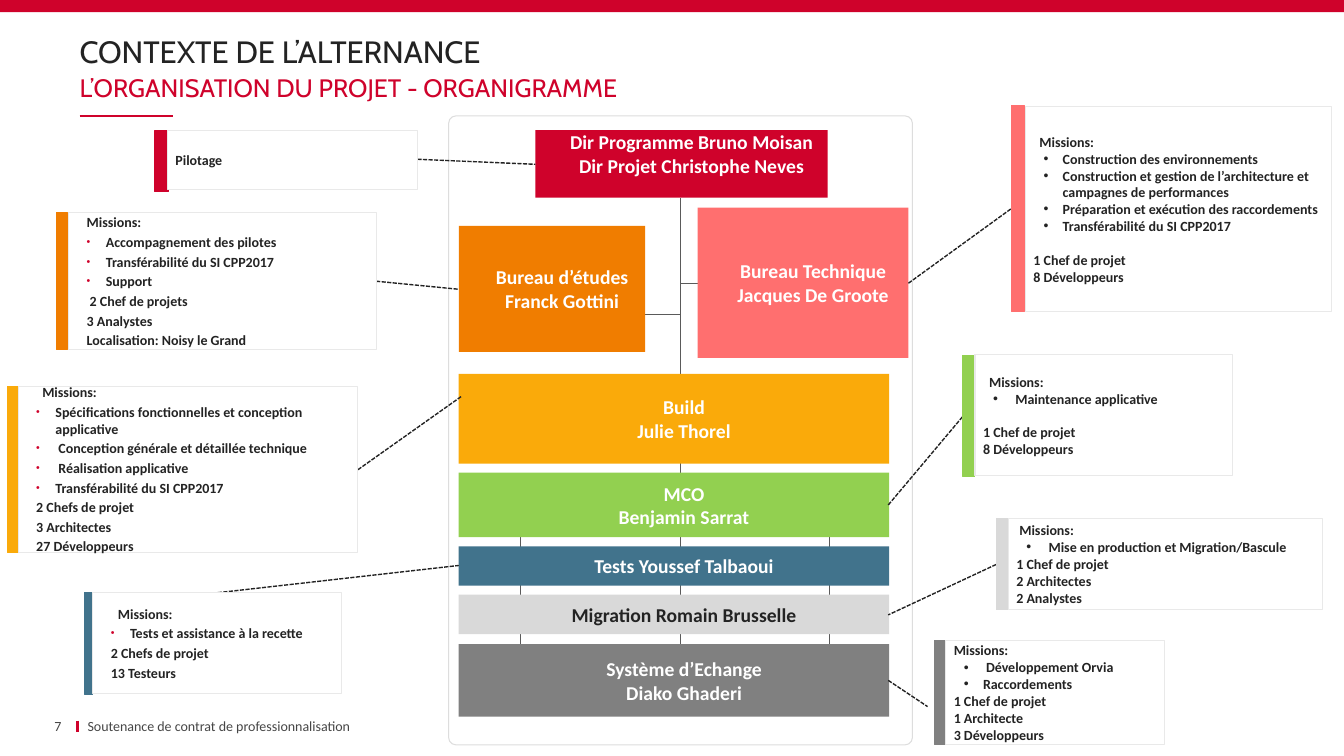
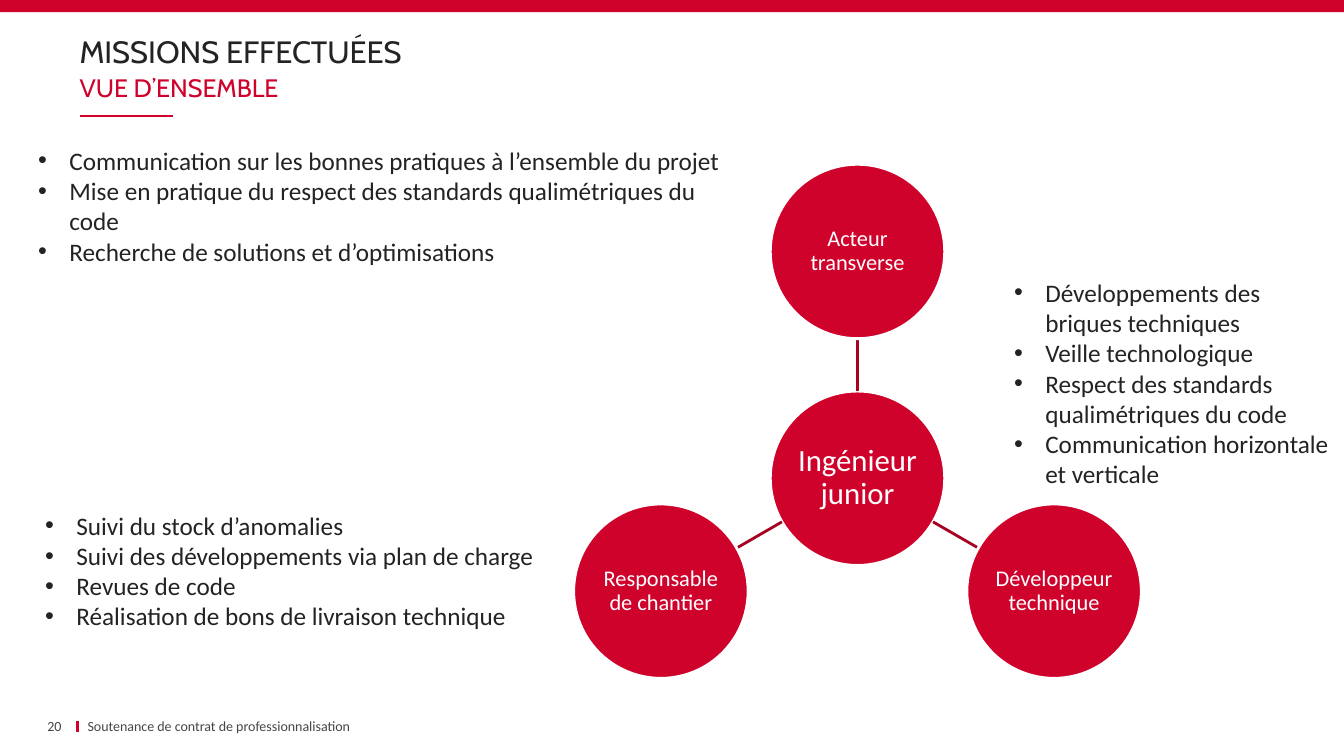
import math

from lxml import etree
from pptx import Presentation
from pptx.dml.color import RGBColor
from pptx.enum import dml, shapes, text
from pptx.oxml.ns import qn
from pptx.util import Emu, Pt

PX = 9144  # 100 px to the inch
RED = RGBColor(0xCF, 0x02, 0x2B)
DARK_RED = RGBColor(0xA6, 0x02, 0x22)
CORAL = RGBColor(0xFF, 0x6F, 0x6F)
ORANGE = RGBColor(0xF0, 0x7D, 0x00)
AMBER = RGBColor(0xFA, 0xAA, 0x0A)
GREEN = RGBColor(0x92, 0xD0, 0x50)
BLUE = RGBColor(0x41, 0x73, 0x8C)
GREY = RGBColor(0x80, 0x80, 0x80)
LIGHT_GREY = RGBColor(0xD9, 0xD9, 0xD9)
PANEL_EDGE = RGBColor(0xDD, 0xDD, 0xDD)
CARD_EDGE = RGBColor(0xE9, 0xE9, 0xE9)
WIRE = RGBColor(0x5A, 0x5A, 0x5A)
FOOTER = RGBColor(0x46, 0x46, 0x46)
INK = RGBColor(0x23, 0x23, 0x23)
WHITE = RGBColor(0xFF, 0xFF, 0xFF)

BOX = shapes.MSO_SHAPE.RECTANGLE
ROUNDED = shapes.MSO_SHAPE.ROUNDED_RECTANGLE
CIRCLE = shapes.MSO_SHAPE.OVAL
LEFT, CENTER, RIGHT = text.PP_ALIGN.LEFT, text.PP_ALIGN.CENTER, text.PP_ALIGN.RIGHT
MIDDLE, TOP = text.MSO_ANCHOR.MIDDLE, text.MSO_ANCHOR.TOP


def block(slide, at, words="", kind=None, fill=None, edge=None, edge_width=0.75, size=10,
          color=INK, font="Calibri", bold=False, align=LEFT, anchor=MIDDLE,
          insets=(0, 5, 0, 5), leading=None):
    """Add a shape, or a text box when kind is None, with one paragraph per line."""
    place = [Emu(n * PX) for n in at]
    if kind is None:
        shape = slide.shapes.add_textbox(*place)
    else:
        shape = slide.shapes.add_shape(kind, *place)
        shape.shadow.inherit = False
        shape.fill.solid()
        shape.fill.fore_color.rgb = fill
        if edge is None:
            shape.line.fill.background()
        else:
            shape.line.color.rgb = edge
            shape.line.width = Pt(edge_width)
    if words:
        frame = shape.text_frame
        frame.text = words
        frame.word_wrap = True
        frame.vertical_anchor = anchor
        (frame.margin_left, frame.margin_top,
         frame.margin_right, frame.margin_bottom) = [Emu(n * PX) for n in insets]
        for paragraph in frame.paragraphs:
            paragraph.alignment = align
            paragraph.line_spacing = leading
            for run in paragraph.runs:
                run.font.name = font
                run.font.size = Pt(size)
                run.font.bold = bold
                run.font.color.rgb = color
    return shape


def link(slide, x1, y1, x2, y2, color, width=1, dash=None):
    line = slide.shapes.add_connector(
        shapes.MSO_CONNECTOR.STRAIGHT, *[Emu(round(n * PX)) for n in (x1, y1, x2, y2)])
    line.line.color.rgb = color
    line.line.width = Pt(width)
    if dash:
        line.line.dash_style = dash
    etree.SubElement(line._element.spPr, qn("a:effectLst"))


deck = Presentation()
deck.slide_width, deck.slide_height = Emu(1333 * PX), Emu(750 * PX)

# Shared frame of both slides
HEADINGS = [
    ("CONTEXTE DE L’ALTERNANCE", "L’ORGANISATION DU PROJET - ORGANIGRAMME", "7"),
    ("MISSIONS EFFECTUÉES", "VUE D’ENSEMBLE", "20"),
]
for title, subtitle, number in HEADINGS:
    slide = deck.slides.add_slide(deck.slide_layouts[6])
    block(slide, (0, 0, 1333, 12), kind=BOX, fill=RED)
    link(slide, 79, 115, 172, 115, RED)
    link(slide, 77, 715, 77, 726, RED, 2.25)
    block(slide, (79, 35, 1173, 36), title, size=22, font="Cabin", leading=0.9)
    block(slide, (79, 72, 1173, 30), subtitle, size=18, font="Cabin", color=RED)
    block(slide, (18, 711, 43, 18), number, color=FOOTER, align=RIGHT)
    block(slide, (77, 711, 663, 18), "Soutenance de contrat de professionnalisation",
          color=FOOTER, insets=(10, 5, 10, 5))
organigram, overview = deck.slides
bulleted = []  # paragraph, text position, bullet position, bullet colour

# Slide 1: hierarchy
panel = block(organigram, (445, 115, 460, 624), kind=ROUNDED, fill=WHITE, edge=PANEL_EDGE)
panel.adjustments[0] = 0.016
WIRES = [(675, 196, 675, 666), (675, 281, 692, 281), (675, 312, 640, 312),
         (516, 499, 516, 666), (823, 499, 823, 666)]
for wire in WIRES:
    link(organigram, *wire, WIRE)

UNITS = [
    ((531, 129, 290, 67), RED, "Dir Programme Bruno Moisan\nDir Projet Christophe Neves", 25),
    ((692, 206, 209, 149), CORAL, "Bureau Technique\nJacques De Groote", 5),
    ((455, 224, 185, 125), ORANGE, "Bureau d’études\nFranck Gottini", 5),
    ((455, 371, 427, 89), AMBER, "Build\nJulie Thorel", 5),
    ((455, 469, 427, 64), GREEN, "MCO\nBenjamin Sarrat", 5),
    ((455, 542, 427, 39), BLUE, "Tests Youssef Talbaoui", 5),
    ((455, 590, 427, 39), LIGHT_GREY, "Migration Romain Brusselle", 5),
    ((455, 639, 427, 72), GREY, "Système d’Echange\nDiako Ghaderi", 5),
]
for at, fill, words, bottom in UNITS:
    block(organigram, at, words, BOX, fill, size=14, bold=True, align=CENTER,
          color=INK if fill == LIGHT_GREY else WHITE, insets=(24, 5, 4, bottom))

DASHES = [(414, 158, 531, 163), (373, 279, 455, 287), (355, 466, 458, 393),
          (216, 588, 455, 561), (901, 281, 1003, 207), (881, 501, 955, 413),
          (988, 560, 881, 610), (881, 675, 920, 701)]
for dash in DASHES:
    link(organigram, *dash, INK, dash=dml.MSO_LINE.SQUARE_DOT)

# Slide 1: team cards; each line has its left indent, from ITEM on it is a bullet
ITEM, ITEM_IN, ITEM_BULLET = 29, 32, 10
CARDS = [
    (RED, (153, 130, 14, 60), (166, 129, 248, 59), 0, [(0, "Pilotage")]),
    (ORANGE, (56, 211, 11, 136), (68, 211, 305, 136), 0, [
        (10, "Missions:"),
        (ITEM, "Accompagnement des pilotes"),
        (ITEM, "Transférabilité du SI CPP2017"),
        (ITEM, "Support"),
        (13, "2 Chef de projets"),
        (10, "3 Analystes"),
        (10, "Localisation: Noisy le Grand")]),
    (AMBER, (7, 383, 12, 165), (18, 383, 337, 165), 0, [
        (16, "Missions:"),
        (ITEM, "Spécifications fonctionnelles et conception applicative"),
        (ITEM_IN, "Conception générale et détaillée technique"),
        (ITEM_IN, "Réalisation applicative"),
        (ITEM, "Transférabilité du SI CPP2017"),
        (10, "2 Chefs de projet"),
        (10, "3 Architectes"),
        (10, "27 Développeurs")]),
    (BLUE, (84, 588, 8, 101), (92, 588, 247, 100), 0, [
        (17, "Missions:"),
        (ITEM, "Tests et assistance à la recette"),
        (10, "2 Chefs de projet"),
        (10, "13 Testeurs")]),
    (CORAL, (1003, 105, 13, 204), (1017, 106, 304, 203), 12, [
        (6, "Missions:"),
        (ITEM, "Construction des environnements"),
        (ITEM, "Construction et gestion de l’architecture et campagnes de performances"),
        (ITEM, "Préparation et exécution des raccordements"),
        (ITEM, "Transférabilité du SI CPP2017"),
        (0, "1 Chef de projet"),
        (0, "8 Développeurs")]),
    (GREEN, (955, 353, 12, 120), (967, 352, 255, 120), 12, [
        (6, "Missions:"),
        (ITEM_IN, "Maintenance applicative"),
        (0, "1 Chef de projet"),
        (0, "8 Développeurs")]),
    (LIGHT_GREY, (988, 514, 12, 91), (1000, 514, 312, 91), 0, [
        (3, "Missions:"),
        (ITEM_IN, "Mise en production et Migration/Bascule"),
        (0, "1 Chef de projet"),
        (0, "2 Architectes"),
        (0, "2 Analystes")]),
    (GREY, (927, 635, 12, 104), (938, 635, 217, 104), 0, [
        (0, "Missions:"),
        (ITEM_IN, "Développement Orvia"),
        (ITEM, "Raccordements"),
        (0, "1 Chef de projet"),
        (0, "1 Architecte"),
        (0, "3 Développeurs")]),
]
for color, tag_at, card_at, staff_gap, lines in CARDS:
    on_left = card_at[0] < 445
    block(organigram, tag_at, kind=BOX, fill=color, edge=color)
    card = block(organigram, card_at, "\n".join(words for _, words in lines), BOX, WHITE,
                 CARD_EDGE, bold=True, insets=(8, 5, 4, 5))
    previous = 0
    for paragraph, (indent, _) in zip(card.text_frame.paragraphs, lines):
        starts_staff = previous >= ITEM > indent
        paragraph.space_before = Pt(2 if on_left else staff_gap if starts_staff else 0)
        bullet = ITEM_BULLET if indent >= ITEM else None
        bulleted.append((paragraph, indent, bullet, RED if on_left else None))
        previous = indent

# Slide 2: hub and roles
DIAMETER, ORBIT = 173, 225
HUB_X, HUB_Y = 764, 388
CIRCLE_STYLE = dict(kind=CIRCLE, fill=RED, edge=WHITE, edge_width=2, color=WHITE,
                    align=CENTER, leading=0.9, insets=(1, 1, 1, 1))
block(overview, (HUB_X, HUB_Y, DIAMETER, DIAMETER), "Ingénieur junior", size=22, **CIRCLE_STYLE)
ROLES = ["Acteur transverse", "Développeur technique", "Responsable de chantier"]
for i, role in enumerate(ROLES):
    angle = math.radians(120 * i - 90)
    dx, dy = math.cos(angle), math.sin(angle)
    center_x, center_y = HUB_X + DIAMETER / 2, HUB_Y + DIAMETER / 2
    near, far = DIAMETER / 2, ORBIT - DIAMETER / 2
    link(overview, center_x + near * dx, center_y + near * dy,
         center_x + far * dx, center_y + far * dy, DARK_RED, 2)
    block(overview, (HUB_X + round(ORBIT * dx), HUB_Y + round(ORBIT * dy), DIAMETER, DIAMETER),
          role, size=16, **CIRCLE_STYLE)

TASKS = [
    ((996, 270, 337, 222), ["Développements des briques techniques",
                            "Veille technologique",
                            "Respect des standards qualimétriques du code",
                            "Communication horizontale et verticale"]),
    ((28, 139, 712, 131), ["Communication sur les bonnes pratiques à l’ensemble du projet",
                           "Mise en pratique du respect des standards qualimétriques du code",
                           "Recherche de solutions et d’optimisations"]),
    ((35, 501, 506, 131), ["Suivi du stock d’anomalies",
                           "Suivi des développements via plan de charge",
                           "Revues de code",
                           "Réalisation de bons de livraison technique"]),
]
for at, tasks in TASKS:
    task_list = block(overview, at, "\n".join(tasks), size=18, anchor=TOP, insets=(10, 5, 10, 5))
    bulleted += [(paragraph, 31, 0, None) for paragraph in task_list.text_frame.paragraphs]

# Indents and bullets
for paragraph, indent, bullet, color in bulleted:
    props = paragraph._p.get_or_add_pPr()
    props.set("marL", str(indent * PX))
    if bullet is None:
        continue
    props.set("indent", str((bullet - indent) * PX))
    if color is not None:
        tint = etree.SubElement(props, qn("a:buClr"))
        etree.SubElement(tint, qn("a:srgbClr"), val=str(color))
        etree.SubElement(props, qn("a:buSzPct"), val="75000")
    etree.SubElement(props, qn("a:buFont"), typeface="Arial")
    etree.SubElement(props, qn("a:buChar"), char="•")

deck.save("out.pptx")
